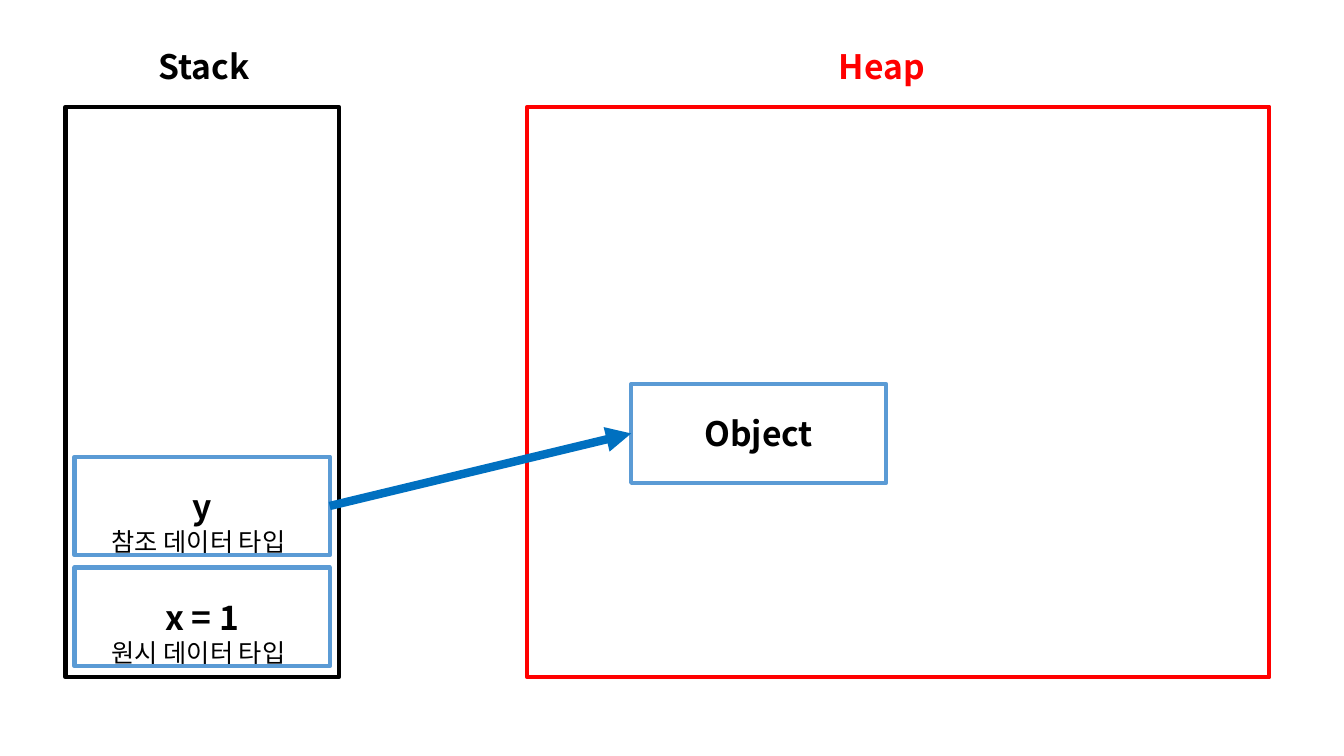
from pptx import Presentation, util as u
from pptx.dml.color import RGBColor
from pptx.enum import shapes, text
from pptx.oxml.ns import qn
from lxml import etree

BLACK = RGBColor(0, 0, 0)
WHITE = RGBColor(255, 255, 255)
RED = RGBColor(255, 0, 0)
SKY = RGBColor(0x5B, 0x9B, 0xD5)
BLUE = RGBColor(0, 0x70, 0xC0)
FONT = "Noto Sans CJK KR"

AREA_TOP, AREA_H = 1.06, 5.66
AREAS = [
    ("Stack", 0.65, 2.71, 1.47, BLACK),
    ("Heap", 5.23, 7.36, 8.22, RED),
]
CELL_W, CELL_H, CELL_STEP = 2.53, 0.98, 1.1
STACK_X, STACK_BOTTOM = 0.74, 5.63
VARIABLES = [("x = 1", "원시 데이터 타입"), ("y", "참조 데이터 타입")]
OBJECT = ("Object", 6.26, 3.81)


def write(sp, words, size, color, bold):
    p = sp.text_frame.paragraphs[0]
    p.text = words
    f = p.font
    f.name, f.size, f.bold = FONT, u.Pt(size), bold
    f.color.rgb = color
    ea = etree.SubElement(f._element, qn("a:ea"))
    ea.set("typeface", FONT)
    return p


def label(s, words, x, y, w, h, size=24, color=BLACK, bold=True):
    sp = s.shapes.add_textbox(*map(u.Inches, (x, y, w, h)))
    sp.text_frame.word_wrap = True
    write(sp, words, size, color, bold)


def box(s, x, y, w, h, line, fill=None):
    sp = s.shapes.add_shape(shapes.MSO_SHAPE.RECTANGLE, *map(u.Inches, (x, y, w, h)))
    sp.shadow.inherit = False
    sp.line.color.rgb, sp.line.width = line, u.Pt(3)
    if fill is None:
        sp.fill.background()
    else:
        sp.fill.solid()
        sp.fill.fore_color.rgb = fill
    return sp


def cell(s, words, x, y):
    sp = box(s, x, y, CELL_W, CELL_H, SKY, WHITE)
    sp.text_frame.vertical_anchor = text.MSO_ANCHOR.MIDDLE
    write(sp, words, 24, BLACK, True).alignment = text.PP_ALIGN.CENTER
    return sp


def arrow(s, start, end):
    c = s.shapes.add_connector(shapes.MSO_CONNECTOR.STRAIGHT, 0, 0, 0, 0)
    c.begin_connect(start, 3)
    c.end_connect(end, 1)
    c.line.color.rgb, c.line.width = BLUE, u.Pt(6)
    etree.SubElement(c.line._get_or_add_ln(), qn("a:tailEnd")).set("type", "triangle")
    etree.SubElement(c._element.spPr, qn("a:effectLst"))


def main():
    prs = Presentation()
    prs.slide_width, prs.slide_height = u.Inches(13.33), u.Inches(7.5)
    s = prs.slides.add_slide(prs.slide_layouts[6])

    for name, x, w, name_x, color in AREAS:
        box(s, x, AREA_TOP, w, AREA_H, color)
        label(s, name, name_x, 0.41, 1.37, 0.5, color=color)

    tops = [STACK_BOTTOM - i * CELL_STEP for i in range(len(VARIABLES))]
    cells = [cell(s, name, STACK_X, y) for (name, _), y in zip(VARIABLES, tops)]
    arrow(s, cells[-1], cell(s, *OBJECT))

    for (_, kind), y in zip(VARIABLES, tops):
        label(s, kind, STACK_X + 0.27, y + 0.64, 2.99, 0.4, size=18, bold=False)

    prs.save("out.pptx")


if __name__ == "__main__":
    main()
